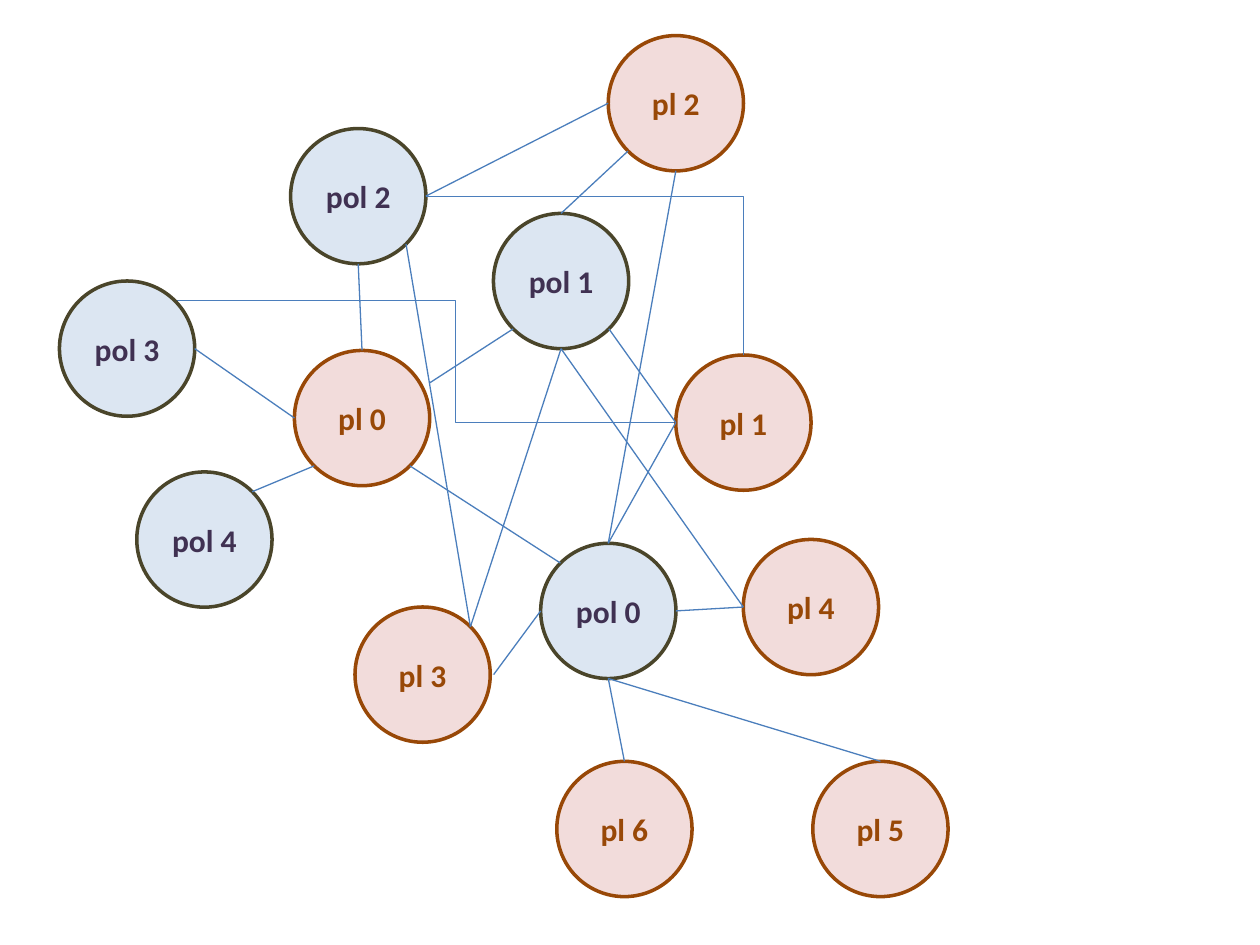
from math import sqrt

from lxml.etree import SubElement
from pptx import Presentation
from pptx.dml.color import RGBColor
from pptx.enum.shapes import MSO_CONNECTOR as Link, MSO_SHAPE as Shape
from pptx.enum.text import MSO_ANCHOR as Anchor, PP_ALIGN as Align
from pptx.oxml.ns import qn
from pptx.util import Pt

THEME = {
    "font": "Calibri",
    "size": 18,
    "outline": 2,
    "link": "4B7EBC",
    "link_width": 0.75,
    "pl": {"fill": "F2DCDB", "line": "984807", "text": "984807"},
    "pol": {"fill": "DCE6F2", "line": "4A452A", "text": "403152"},
}
DIAMETER = 77.3
RADIUS = DIAMETER / 2

CENTRES = {
    "pl 0": (206.9, 238.9),
    "pol 0": (347.6, 349.1),
    "pol 1": (320.6, 160.6),
    "pol 2": (204.7, 112.1),
    "pl 1": (424.8, 241.5),
    "pl 2": (386.2, 59),
    "pl 3": (241.5, 385.5),
    "pl 4": (463.4, 346.9),
    "pl 5": (503.1, 473.7),
    "pl 6": (356.8, 473.7),
    "pol 3": (72.6, 199.2),
    "pol 4": (116.8, 308.3),
}

DIAGONAL = 1 / sqrt(2)
SIDES = {
    "top": (0, -1),
    "left": (-1, 0),
    "bottom": (0, 1),
    "right": (1, 0),
    "top left": (-DIAGONAL, -DIAGONAL),
    "top right": (DIAGONAL, -DIAGONAL),
    "bottom left": (-DIAGONAL, DIAGONAL),
    "bottom right": (DIAGONAL, DIAGONAL),
    "upper right": (1, -0.52),
    "just outside right": (1.05, 0),
}

STRAIGHT_LINKS = [
    ("pl 0", "top", "pol 2", "bottom"),
    ("pl 0", "left", "pol 3", "right"),
    ("pl 0", "bottom left", "pol 4", "top right"),
    ("pl 1", "left", "pol 1", "bottom right"),
    ("pl 1", "left", "pol 0", "top"),
    ("pol 1", "bottom left", "pl 0", "upper right"),
    ("pol 0", "top left", "pl 0", "bottom right"),
    ("pl 2", "left", "pol 2", "right"),
    ("pl 2", "bottom", "pol 0", "top"),
    ("pl 2", "bottom left", "pol 1", "top"),
    ("pl 3", "just outside right", "pol 0", "left"),
    ("pl 3", "top right", "pol 1", "bottom"),
    ("pl 3", "top right", "pol 2", "bottom right"),
    ("pl 4", "left", "pol 0", "right"),
    ("pl 4", "left", "pol 1", "bottom"),
    ("pol 0", "bottom", "pl 6", "top"),
    ("pol 0", "bottom", "pl 5", "top"),
]
STEP_LINK = ("pl 1", "left", "pol 3", "top right")
STEP_BEND = 43900
CORNER_LINK = ("pol 2", "right", "pl 1", "top")


def colour(value):
    return RGBColor.from_string(value)


def anchor_point(name, side):
    return [Pt(c + RADIUS * d) for c, d in zip(CENTRES[name], SIDES[side])]


def add_link(slide, link, kind=Link.STRAIGHT):
    start, start_side, end, end_side = link
    connector = slide.shapes.add_connector(
        kind, *anchor_point(start, start_side), *anchor_point(end, end_side)
    )
    connector.line.color.rgb = colour(THEME["link"])
    connector.line.width = Pt(THEME["link_width"])
    properties = connector._element.spPr
    SubElement(properties, qn("a:effectLst"))
    return properties.find(qn("a:prstGeom"))


def add_node(slide, name):
    palette = THEME[name.split()[0]]
    x, y = CENTRES[name]
    node = slide.shapes.add_shape(
        Shape.OVAL, Pt(x - RADIUS), Pt(y - RADIUS), Pt(DIAMETER), Pt(DIAMETER)
    )
    node.shadow.inherit = False
    node.fill.solid()
    node.fill.fore_color.rgb = colour(palette["fill"])
    node.line.color.rgb = colour(palette["line"])
    node.line.width = Pt(THEME["outline"])
    label = node.text_frame
    label.text = name
    label.vertical_anchor = Anchor.MIDDLE
    label.paragraphs[0].alignment = Align.CENTER
    font = label.paragraphs[0].runs[0].font
    font.name = THEME["font"]
    font.size = Pt(THEME["size"])
    font.bold = True
    font.color.rgb = colour(palette["text"])


def main():
    deck = Presentation()
    deck.slide_width, deck.slide_height = Pt(720), Pt(540)
    slide = deck.slides.add_slide(deck.slide_layouts[6])

    step = add_link(slide, STEP_LINK, Link.ELBOW)
    bends = step.find(qn("a:avLst"))
    if bends is None:
        bends = SubElement(step, qn("a:avLst"))
    SubElement(bends, qn("a:gd"), name="adj1", fmla=f"val {STEP_BEND}")

    for name in CENTRES:
        add_node(slide, name)
    for link in STRAIGHT_LINKS:
        add_link(slide, link)
    add_link(slide, CORNER_LINK, Link.ELBOW).set("prst", "bentConnector2")

    deck.save("out.pptx")


if __name__ == "__main__":
    main()
